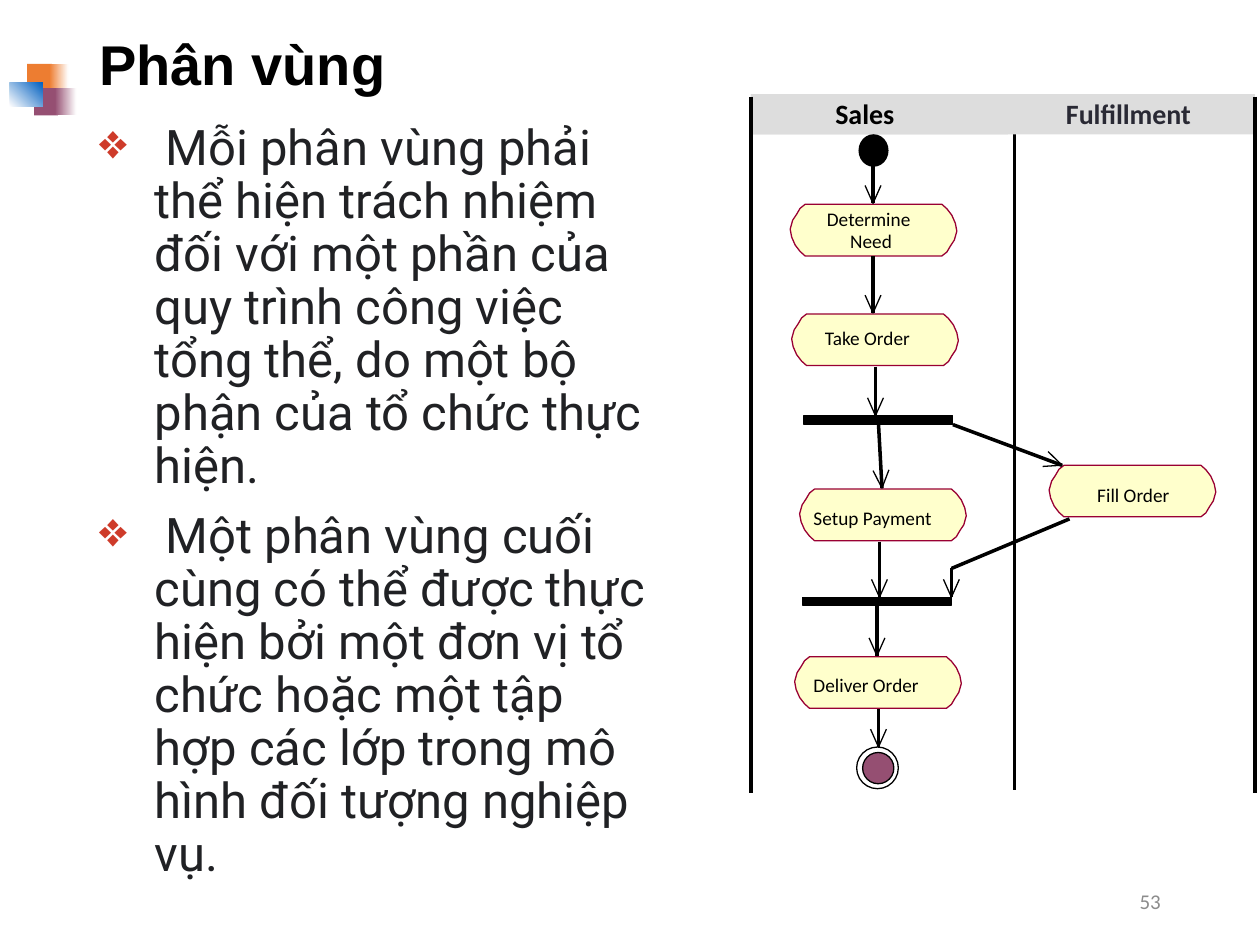
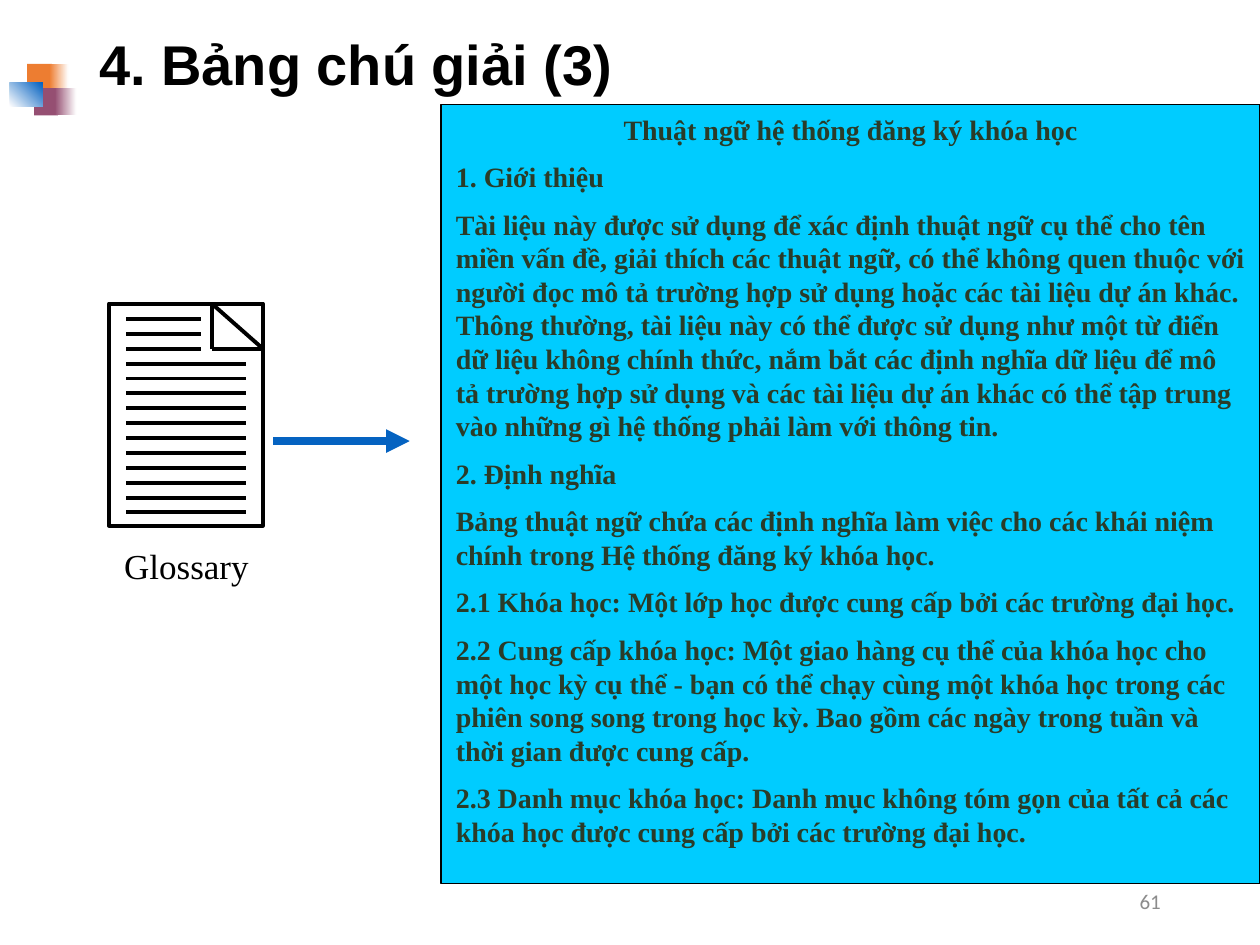
import math

import pptx
import pptx.dml.color
import pptx.enum.dml
import pptx.enum.shapes
import pptx.enum.text
import pptx.oxml.ns
import lxml.etree
from pptx.util import Cm, Pt

SHAPE = pptx.enum.shapes.MSO_SHAPE
ALIGN = pptx.enum.text.PP_ALIGN
ANCHOR = pptx.enum.text.MSO_ANCHOR
qn = pptx.oxml.ns.qn

BLACK = "000000"
WHITE = "FFFFFF"
ORANGE = "ED7D31"
PLUM = "954F72"
BLUE = "0563C1"
BULLET_RED = "CE3B2A"
BODY_INK = "202124"
GLOSSARY_INK = "2A3C29"

# Left half of an action outline in cm; the right half is its half turn
ACTION_SIZE = (3.36, 1.04)
ACTION_LEFT = [(0.3, 0), (0.2, 0.08), (0.13, 0.2), (0.05, 0.32), (0, 0.5),
               (0.03, 0.66), (0.1, 0.82), (0.2, 0.95), (0.3, 1.04)]


def color(hex_text):
    return pptx.dml.color.RGBColor.from_string(hex_text)


class Painter:
    """Holds the deck style and draws on the current slide."""

    def __init__(self):
        self.deck = pptx.Presentation()
        self.deck.slide_width = Cm(25.4)
        self.deck.slide_height = Cm(19.05)
        self.shapes = None

    def new_slide(self, title, number):
        page = self.deck.slides.add_slide(self.deck.slide_layouts[6])
        self.shapes = page.shapes
        # Corner ornament
        self.shape(0.55, 1.29, 0.5, 0.55, ORANGE)
        self.shape(1, 1.29, 0.38, 0.55, (ORANGE, WHITE, 0))
        self.shape(0.69, 1.78, 0.48, 0.55, PLUM)
        self.shape(1.11, 1.78, 0.43, 0.55, (PLUM, WHITE, 0))
        self.shape(0.2, 1.67, 0.66, 0.48, (WHITE, BLUE, 45))
        # Title and page number
        box = self.text(1.75, 0.33, 21.9, 2.06, title, 32, "Arial", BLACK,
                        bold=True, anchor=ANCHOR.MIDDLE)
        box.text_frame.paragraphs[0].line_spacing = 0.9
        self.text(17.93, 17.65, 5.72, 1.02, number, 12, "Calibri", "8C8C8C",
                  align=ALIGN.RIGHT, anchor=ANCHOR.MIDDLE)

    def paint(self, shape, fill, line, width):
        shape.shadow.inherit = False
        if fill is None:
            shape.fill.background()
        elif isinstance(fill, tuple):
            start, end, angle = fill
            shape.fill.gradient()
            shape.fill.gradient_angle = angle
            for stop, shade in zip(shape.fill.gradient_stops, (start, end)):
                stop.color.rgb = color(shade)
        else:
            shape.fill.solid()
            shape.fill.fore_color.rgb = color(fill)
        if line is None:
            shape.line.fill.background()
        else:
            shape.line.color.rgb = color(line)
            shape.line.width = Pt(width)
        return shape

    def shape(self, left, top, width, height, fill=None, line=None,
              line_width=0, kind=SHAPE.RECTANGLE):
        shape = self.shapes.add_shape(kind, Cm(left), Cm(top), Cm(width), Cm(height))
        return self.paint(shape, fill, line, line_width)

    def outline(self, points, fill=None, line=BLACK, close=True):
        points = [(Cm(x), Cm(y)) for x, y in points]
        builder = self.shapes.build_freeform(*points[0])
        builder.add_line_segments(points[1:], close=close)
        return self.paint(builder.convert_to_shape(), fill, line, 0)

    def line(self, start, end, shade=BLACK, width=0, arrow=False):
        connector = self.shapes.add_connector(
            pptx.enum.shapes.MSO_CONNECTOR.STRAIGHT,
            Cm(start[0]), Cm(start[1]), Cm(end[0]), Cm(end[1]))
        connector.line.color.rgb = color(shade)
        connector.line.width = Pt(width)
        if arrow:
            outline = connector.line._get_or_add_ln()
            lxml.etree.SubElement(outline, qn("a:tailEnd"), type="triangle")
        lxml.etree.SubElement(connector._element.spPr, qn("a:effectLst"))
        return connector

    def flow(self, *points):
        """Draw an arrow with a wide open head; return its first segment."""
        segments = [self.line(a, b) for a, b in zip(points, points[1:])]
        (x0, y0), (x, y) = points[-2:]
        angle = math.atan2(y - y0, x - x0)
        back, side = 0.36, 0.16
        barbs = [(x - back * math.cos(angle) - s * math.sin(angle),
                  y - back * math.sin(angle) + s * math.cos(angle))
                 for s in (-side, side)]
        self.outline([barbs[0], (x, y), barbs[1]], close=False)
        return segments[0]

    def style(self, paragraph, size, font, shade, bold=False):
        for span in paragraph.runs:
            span.font.size = Pt(size)
            span.font.name = font
            span.font.bold = bold
            span.font.color.rgb = color(shade)

    def text(self, left, top, width, height, words, size, font, shade,
             bold=False, align=ALIGN.LEFT, anchor=ANCHOR.TOP, inset=True):
        box = self.shapes.add_textbox(Cm(left), Cm(top), Cm(width), Cm(height))
        frame = box.text_frame
        frame.word_wrap = True
        frame.vertical_anchor = anchor
        if not inset:
            frame.margin_left = frame.margin_right = 0
            frame.margin_top = frame.margin_bottom = 0
        frame.text = words
        para = frame.paragraphs[0]
        para.alignment = align
        self.style(para, size, font, shade, bold)
        return box

    def label(self, left, top, width, words, size=11, shade=BLACK, bold=False):
        return self.text(left, top, width, size * 0.042, words, size, "Calibri",
                         shade, bold, inset=False)

    def bullets(self, left, top, width, height, items):
        box = self.shapes.add_textbox(Cm(left), Cm(top), Cm(width), Cm(height))
        frame = box.text_frame
        frame.word_wrap = True
        for index, item in enumerate(items):
            para = frame.add_paragraph() if index else frame.paragraphs[0]
            para.line_spacing = 0.9
            para.space_before = Pt(10 if index else 0)
            properties = para._p.get_or_add_pPr()
            properties.set("marL", str(Cm(1.12)))
            properties.set("indent", str(-Cm(1.12)))
            tint = lxml.etree.SubElement(properties, qn("a:buClr"))
            lxml.etree.SubElement(tint, qn("a:srgbClr"), val=BULLET_RED)
            lxml.etree.SubElement(properties, qn("a:buChar"), char="❖")
            para.add_run().text = " "
            para.add_run().text = item
            self.style(para, 28, "Roboto", BODY_INK)
            para.runs[0].font.name = "Calibri"

    def action(self, left, top):
        width, height = ACTION_SIZE
        right = [(width - x, height - y) for x, y in ACTION_LEFT]
        self.outline([(left + x, top + y) for x, y in ACTION_LEFT + right],
                     "FFFFCC", "990033")


def partition_slide(painter):
    painter.new_slide("Phân vùng", "53")
    painter.bullets(1.75, 2.36, 11.58, 14.38, [
        "Mỗi phân vùng phải thể hiện trách nhiệm đối với một phần của quy trình "
        "công việc tổng thể, do một bộ phận của tổ chức thực hiện.",
        "Một phân vùng cuối cùng có thể được thực hiện bởi một đơn vị tổ chức "
        "hoặc một tập hợp các lớp trong mô hình đối tượng nghiệp vụ.",
    ])

    # Swimlanes and their headings
    painter.line((20.45, 1.9), (20.45, 15.93))
    for width in (10.16, 5.18):
        painter.shape(15.14, 1.9, width, 0.81, "DDDDDD")
    for x in (15.14, 25.3):
        painter.line((x, 1.95), (x, 15.98))
    painter.label(16.84, 1.95, 1.5, "Sales", 16, bold=True)
    painter.label(21.49, 1.95, 2.72, "Fulfillment", 16, "292934", bold=True)

    # Start and end nodes
    painter.shape(17.32, 2.72, 0.58, 0.63, BLACK, BLACK, kind=SHAPE.OVAL)
    painter.shape(17.27, 15.06, 0.84, 0.84, None, BLACK, kind=SHAPE.OVAL)
    painter.shape(17.39, 15.17, 0.63, 0.63, PLUM, BLACK, kind=SHAPE.OVAL)

    # Actions
    for left, top in [(15.93, 4.12), (15.96, 6.33), (16.12, 9.86),
                      (16.02, 13.24), (21.15, 9.38)]:
        painter.action(left, top)
    for left, top, width, words in [
        (16.67, 4.17, 2.06, "Determine"), (17.14, 4.63, 1.1, "Need"),
        (16.63, 6.57, 2.34, "Take Order"), (16.4, 10.21, 2.97, "Setup Payment"),
        (16.4, 13.57, 2.74, "Deliver Order"), (22.12, 9.75, 1.75, "Fill Order"),
    ]:
        painter.label(left, top, width, words)

    # Fork and join bars
    fork = painter.shape(16.21, 8.38, 3, 0.18, BLACK, BLACK)
    join = painter.shape(16.18, 12.04, 3, 0.16, BLACK, BLACK)

    # Control flow
    painter.flow((17.6, 3.35), (17.6, 4.1))
    painter.flow((17.6, 5.16), (17.6, 6.31))
    painter.flow((17.65, 7.39), (17.65, 8.38))
    painter.flow((17.71, 8.56), (17.78, 9.84)).begin_connect(fork, 2)
    painter.flow((19.21, 8.56), (21.41, 9.38))
    painter.flow((17.73, 10.92), (17.73, 12.04))
    painter.flow((21.56, 10.46), (19.18, 11.46), (19.18, 12.04))
    painter.flow((17.68, 12.2), (17.68, 13.22)).begin_connect(join, 2)
    painter.flow((17.71, 14.3), (17.71, 15.06))


def glossary_slide(painter):
    painter.new_slide("4. Bảng chú giải (3)", "61")

    # Document with a folded corner
    painter.shape(2.2, 6.12, 3.1, 4.48, None, BLACK, 2.25)
    fold = [(4.27, 6.12), (5.3, 7.03), (4.27, 7.03)]
    for start, end in zip(fold, fold[1:] + fold[:1]):
        painter.line(start, end, width=2.25)
    for row in range(14):
        y = 6.43 + 0.3 * row
        painter.line((2.54, y), (4.06 if row < 3 else 4.95, y), width=2.25)
    painter.text(2.11, 10.85, 3.3, 1.09, "Glossary", 20, "Times New Roman",
                 BLACK, align=ALIGN.CENTER)

    # Glossary contents
    panel = painter.shape(8.89, 2.11, 16.51, 15.7, "00CCFF", BLACK, 0.75)
    frame = panel.text_frame
    frame.word_wrap = True
    frame.vertical_anchor = ANCHOR.TOP
    frame.margin_left = frame.margin_right = Cm(0.3)
    frame.margin_top = frame.margin_bottom = Cm(0.15)
    entries = [
        "Thuật ngữ hệ thống đăng ký khóa học",
        "1. Giới thiệu",
        "Tài liệu này được sử dụng để xác định thuật ngữ cụ thể cho tên miền vấn "
        "đề, giải thích các thuật ngữ, có thể không quen thuộc với người đọc mô tả "
        "trường hợp sử dụng hoặc các tài liệu dự án khác. Thông thường, tài liệu "
        "này có thể được sử dụng như một từ điển dữ liệu không chính thức, nắm bắt "
        "các định nghĩa dữ liệu để mô tả trường hợp sử dụng và các tài liệu dự án "
        "khác có thể tập trung vào những gì hệ thống phải làm với thông tin.",
        "2. Định nghĩa",
        "Bảng thuật ngữ chứa các định nghĩa làm việc cho các khái niệm chính trong "
        "Hệ thống đăng ký khóa học.",
        "2.1 Khóa học: Một lớp học được cung cấp bởi các trường đại học.",
        "2.2 Cung cấp khóa học: Một giao hàng cụ thể của khóa học cho một học kỳ "
        "cụ thể - bạn có thể chạy cùng một khóa học trong các phiên song song trong "
        "học kỳ. Bao gồm các ngày trong tuần và thời gian được cung cấp.",
        "2.3 Danh mục khóa học: Danh mục không tóm gọn của tất cả các khóa học được "
        "cung cấp bởi các trường đại học.",
    ]
    for index, entry in enumerate(entries):
        para = frame.add_paragraph() if index else frame.paragraphs[0]
        para.text = entry
        para.alignment = ALIGN.LEFT if index else ALIGN.CENTER
        para.space_before = Pt(8 if index else 0)
        painter.style(para, 16, "Times New Roman", GLOSSARY_INK, bold=True)

    painter.line((5.51, 8.89), (8.26, 8.89), BLUE, 4.5, arrow=True)


def main():
    painter = Painter()
    partition_slide(painter)
    glossary_slide(painter)
    painter.deck.save("out.pptx")


if __name__ == "__main__":
    main()
